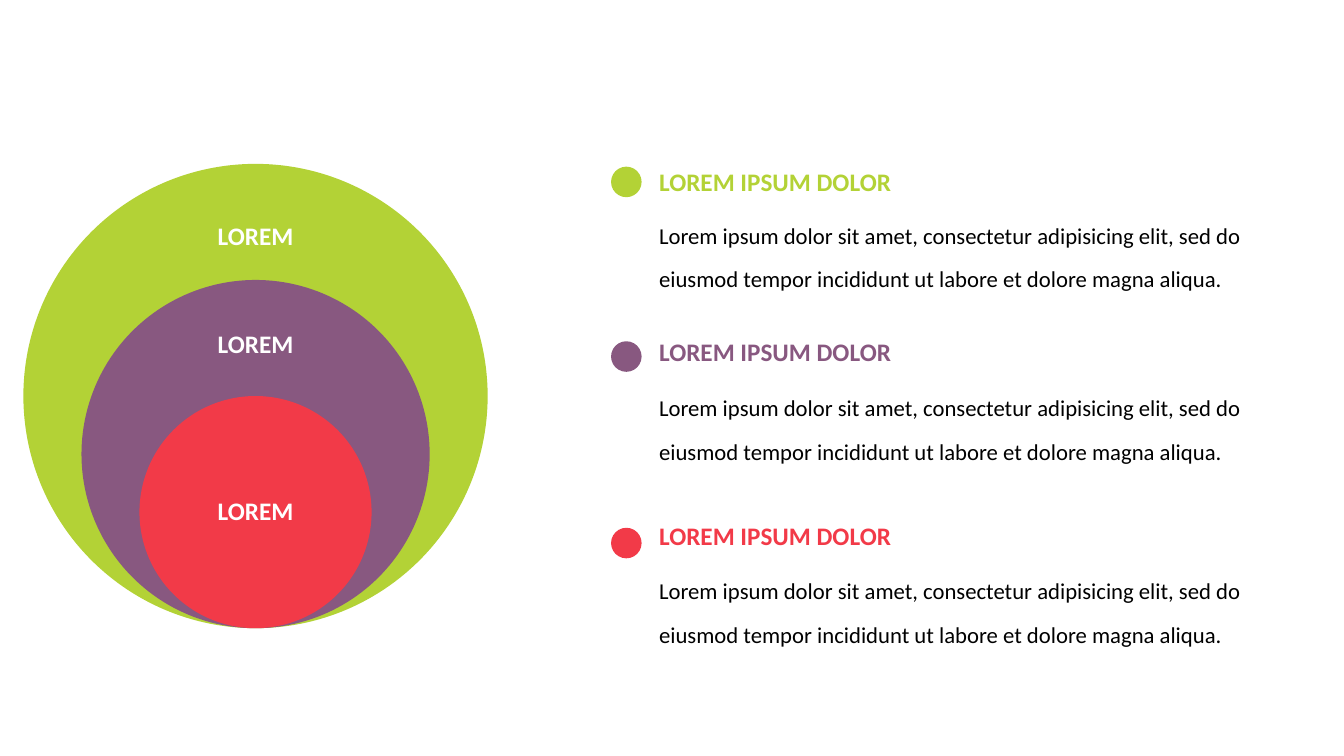
from dataclasses import dataclass

from pptx import Presentation
from pptx.dml.color import RGBColor
from pptx.enum.shapes import MSO_SHAPE
from pptx.enum.text import MSO_ANCHOR, PP_ALIGN
from pptx.shapes.autoshape import Shape
from pptx.slide import Slide
from pptx.util import Cm, Pt

OVAL = MSO_SHAPE.OVAL
MIDDLE, TOP = MSO_ANCHOR.MIDDLE, MSO_ANCHOR.TOP
CENTER = PP_ALIGN.CENTER
BLANK_LAYOUT = 6


@dataclass(frozen=True)
class Theme:
    font: str = "Calibri"
    heading_size: float = 18
    body_size: float = 16.2
    green: str = "B3D236"
    purple: str = "885880"
    red: str = "F23A48"
    white: str = "FFFFFF"
    black: str = "000000"


THEME = Theme()


@dataclass(frozen=True)
class Ring:
    """A nested circle; label_y is the height of its label's centre in cm."""
    label: str
    color: str
    scale: float
    label_y: float


@dataclass(frozen=True)
class Topic:
    """A bullet dot, heading and body, with their tops in cm."""
    color: str
    dot_y: float
    heading_y: float
    body_y: float


RINGS = [
    Ring("LOREM", THEME.green, 1.0, 5.99),
    Ring("LOREM", THEME.purple, 0.75, 8.69),
    Ring("LOREM", THEME.red, 0.5, 12.9),
]
TOPICS = [
    Topic(THEME.green, 4.2, 3.99, 5.05),
    Topic(THEME.purple, 8.6, 8.28, 9.4),
    Topic(THEME.red, 13.3, 12.93, 14.0),
]
HEADING = "LOREM IPSUM DOLOR"
BODY = ("Lorem ipsum dolor sit amet, consectetur adipisicing elit, sed do "
        "eiusmod tempor incididunt ut labore et dolore magna aliqua.")

RING_CENTER_X, RING_BOTTOM, RING_DIAMETER = 6.44, 15.83, 11.7
DOT_X, DOT_DIAMETER = 15.4, 0.77
TEXT_X, TEXT_WIDTH, HEADING_HEIGHT, BODY_HEIGHT = 16.36, 16.84, 1.14, 3.0


def write(sp: Shape, text: str, color: str, size: float, bold: bool,
          anchor: MSO_ANCHOR, spacing: float = 1.0) -> None:
    tf = sp.text_frame
    tf.word_wrap = True
    tf.vertical_anchor = anchor
    p = tf.paragraphs[0]
    p.text = text
    p.line_spacing = spacing
    p.font.name = THEME.font
    p.font.size = Pt(size)
    p.font.bold = bold
    p.font.color.rgb = RGBColor.from_string(color)


def add_circle(s: Slide, x: float, y: float, diameter: float, color: str) -> Shape:
    sp = s.shapes.add_shape(OVAL, Cm(x), Cm(y), Cm(diameter), Cm(diameter))
    sp.shadow.inherit = False
    sp.fill.solid()
    sp.fill.fore_color.rgb = RGBColor.from_string(color)
    sp.line.fill.background()
    return sp


def add_ring(s: Slide, ring: Ring) -> None:
    """Draw a circle resting on the common bottom, its label raised by the bottom inset."""
    diameter = RING_DIAMETER * ring.scale
    sp = add_circle(s, RING_CENTER_X - diameter / 2, RING_BOTTOM - diameter,
                    diameter, ring.color)
    write(sp, ring.label, THEME.white, THEME.heading_size, True, MIDDLE, 0.9)
    tf = sp.text_frame
    tf.paragraphs[0].alignment = CENTER
    tf.margin_left = tf.margin_right = tf.margin_top = 0
    tf.margin_bottom = Cm(2 * (RING_BOTTOM - diameter / 2 - ring.label_y))


def add_topic(s: Slide, topic: Topic) -> None:
    add_circle(s, DOT_X, topic.dot_y, DOT_DIAMETER, topic.color)
    heading = s.shapes.add_textbox(Cm(TEXT_X), Cm(topic.heading_y),
                                   Cm(TEXT_WIDTH), Cm(HEADING_HEIGHT))
    write(heading, HEADING, topic.color, THEME.heading_size, True, MIDDLE)
    body = s.shapes.add_textbox(Cm(TEXT_X), Cm(topic.body_y),
                                Cm(TEXT_WIDTH), Cm(BODY_HEIGHT))
    write(body, BODY, THEME.black, THEME.body_size, False, TOP, 1.6)


def main() -> None:
    prs = Presentation()
    prs.slide_width, prs.slide_height = Cm(33.87), Cm(19.05)
    s = prs.slides.add_slide(prs.slide_layouts[BLANK_LAYOUT])
    for ring in RINGS:
        add_ring(s, ring)
    for topic in TOPICS:
        add_topic(s, topic)
    prs.save("out.pptx")


if __name__ == "__main__":
    main()
